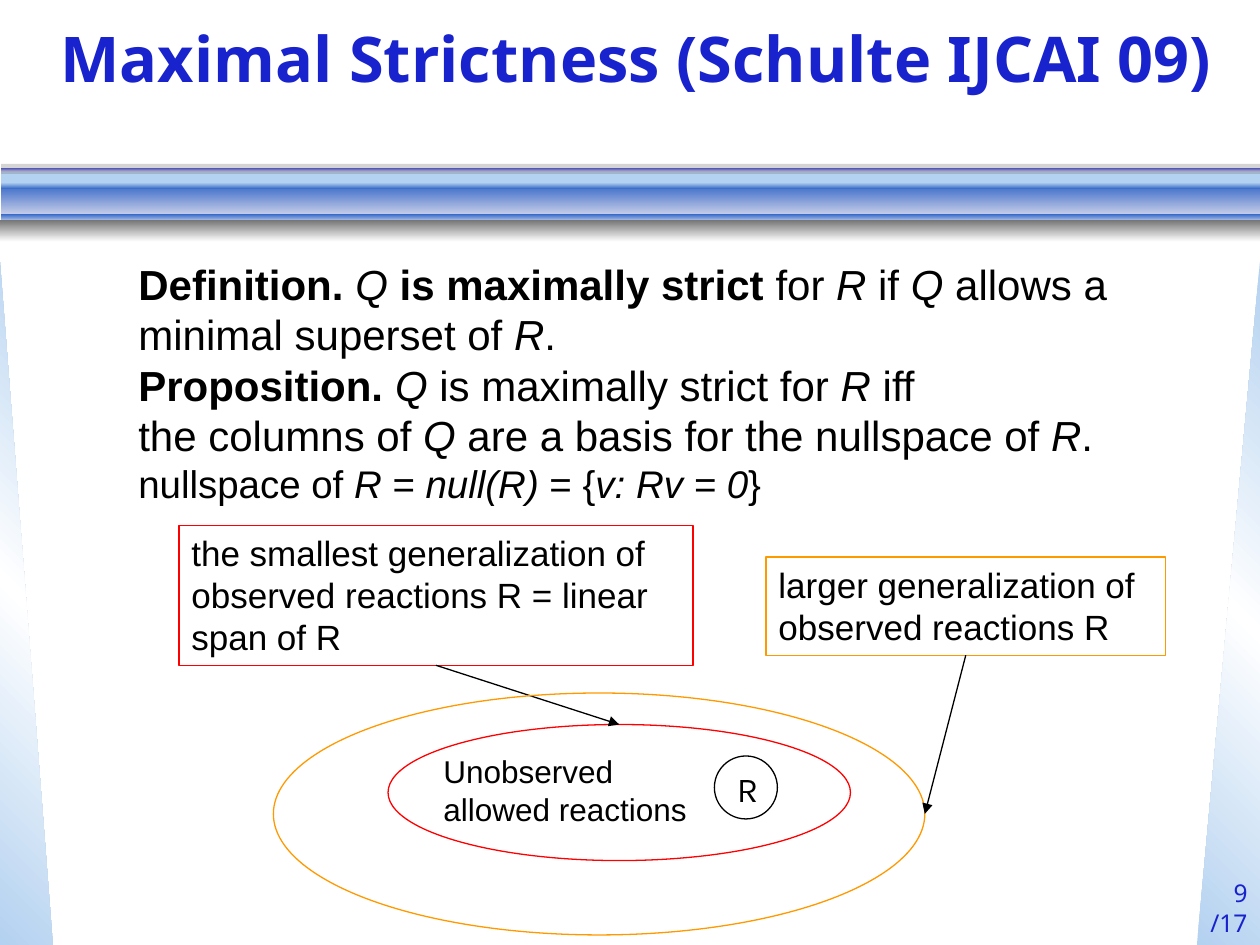
from lxml import etree
from pptx import Presentation
from pptx.dml.color import RGBColor
from pptx.enum.shapes import MSO_CONNECTOR as Conn, MSO_SHAPE as Shape
from pptx.enum.text import MSO_ANCHOR as Anchor, MSO_AUTO_SIZE as Fit, PP_ALIGN as Align
from pptx.oxml import parse_xml
from pptx.oxml.ns import nsdecls, qn
from pptx.util import Inches, Pt

BLUE, SKY, DEEP = "1822CD", "B3D1F0", "3568C7"
BLACK, WHITE, RED, ORANGE, GREY = "000000", "FFFFFF", "FF0000", "FF9900", "777777"


def rgb(code):
    return RGBColor.from_string(code)


def lens(*nums):
    return [Inches(num) for num in nums]


def write(frame, lines, size=20, font="Arial", color=BLACK, bold=False,
          align=Align.LEFT, anchor=Anchor.TOP, fit=Fit.NONE):
    """Fill one paragraph; a line is a list of (text, style) with style b, i, or a size."""
    frame.word_wrap = True
    frame.auto_size = fit
    frame.vertical_anchor = anchor
    para = frame.paragraphs[0]
    para.alignment = align
    para.space_before = Pt(0)
    for row, line in enumerate(lines):
        if row:
            para.add_line_break()
        parts = [(line, "")] if isinstance(line, str) else line
        for text, style, *own in parts:
            run = para.add_run()
            run.text = text
            face = run.font
            face.name, face.size = font, Pt(own[0] if own else size)
            face.bold = bold or style == "b"
            face.italic = style == "i"
            face.color.rgb = rgb(color)


def label(slide, box, lines, **style):
    text = slide.shapes.add_textbox(*lens(*box))
    write(text.text_frame, lines, **style)


def blend(shape, stops, angle):
    """Give the shape a linear gradient of evenly spaced colours."""
    step = 100000 // (len(stops) - 1)
    marks = "".join(f'<a:gs pos="{n * step}"><a:srgbClr val="{code}"/></a:gs>'
                    for n, code in enumerate(stops))
    grad = parse_xml(f'<a:gradFill {nsdecls("a")} rotWithShape="1"><a:gsLst>{marks}</a:gsLst>'
                     f'<a:lin ang="{angle * 60000}" scaled="1"/></a:gradFill>')
    shape.element.spPr.find(qn("a:prstGeom")).addnext(grad)


def draw(slide, kind, box, line=None, fill=None):
    shape = slide.shapes.add_shape(kind, *lens(*box))
    shape.shadow.inherit = False
    if line:
        shape.line.color.rgb = rgb(line)
        shape.line.width = Pt(0.75)
        shape.fill.background()
    else:
        shape.line.fill.background()
    if fill:
        shape.fill.solid()
        shape.fill.fore_color.rgb = rgb(fill)
    return shape


def sides(slide, top, high):
    """Draw the shaded wedges on both edges of the slide."""
    for left, wide, angle, flip in ((0, 0.42, 315, False), (9.5, 0.5, 45, True)):
        wedge = draw(slide, Shape.RIGHT_TRIANGLE, (left, top, wide, high))
        blend(wedge, (SKY, WHITE, SKY), angle)
        if flip:
            wedge.element.spPr.find(qn("a:xfrm")).set("flipH", "1")


def band(slide, left, top, wide):
    """Draw the layered bar below the title."""
    draw(slide, Shape.RECTANGLE, (left, top + 0.06, wide, 0.1), fill=SKY)
    strips = ((0.16, 0.25, DEEP, "CAD0E9"), (0.03, 0.03, BLUE, "BABBE7"),
              (0.4, 0.05, DEEP, "A9BEE7"), (0.15, 0.05, SKY, DEEP))
    for down, high, *stops in strips:
        blend(draw(slide, Shape.RECTANGLE, (left, top + down, wide, high)), stops, 90)
    blend(draw(slide, Shape.RECTANGLE, (0, top + 0.45, 10, 0.17)), (GREY, WHITE), 90)
    haze = draw(slide, Shape.RECTANGLE, (left, top, wide, 0.08), fill=GREY)
    tint = haze.element.spPr.find(".//" + qn("a:srgbClr"))
    etree.SubElement(tint, qn("a:alpha")).set("val", "31000")


def head(slide, box, text):
    title = slide.shapes.title
    title.left, title.top, title.width, title.height = lens(*box)
    write(title.text_frame, [text], size=36, font="Noto Sans", color=BLUE,
          bold=True, align=Align.CENTER, anchor=Anchor.MIDDLE)


def body(slide, box):
    label(slide, box, [
        [("Definition. ", "b"), ("Q ", "i"), ("is maximally strict ", "b"), ("for ", ""),
         ("R", "i"), (" if ", ""), ("Q", "i"), (" allows a minimal superset of ", ""),
         ("R", "i"), (". ", "")],
        [("Proposition. ", "b"), ("Q", "i"), (" is maximally strict for ", ""),
         ("R", "i"), (" iff ", "")],
        [("the columns of ", ""), ("Q", "i"), (" are a basis for the nullspace of ", ""),
         ("R", "i"), (".", "")],
        [("nullspace of ", "", 22), ("R", "i", 22), (" = ", "", 22), ("null(R)", "i", 22),
         (" = {", "", 22), ("v: Rv = 0", "i", 22), ("}", "", 22)],
    ], size=24, fit=Fit.SHAPE_TO_FIT_TEXT)


def note(slide, box, text, color):
    shape = draw(slide, Shape.RECTANGLE, box, line=color)
    write(shape.text_frame, [text], fit=Fit.SHAPE_TO_FIT_TEXT)
    return shape


def arrow(slide, start, tip, end=None):
    """Point from the bottom of a note to a spot, joined to the top of end if given."""
    link = slide.shapes.add_connector(Conn.STRAIGHT, 0, 0, *lens(*tip))
    link.begin_connect(start, 2)
    if end:
        link.end_connect(end, 0)
    link.line.color.rgb = rgb(BLACK)
    link.line.width = Pt(0.75)
    props = link.element.spPr
    etree.SubElement(props.find(qn("a:ln")), qn("a:tailEnd")).set("type", "triangle")
    etree.SubElement(props, qn("a:effectLst"))


def sets(slide, left, top):
    """Draw the nested sets with their two notes."""
    def at(right, down, *size):
        return (left + right, top + down, *size)

    grow = Fit.SHAPE_TO_FIT_TEXT
    label(slide, at(4.33, 1.87, 0.42, 0.43), ["R"], font="Karla", fit=grow)
    draw(slide, Shape.OVAL, at(4.25, 1.83, 0.5, 0.5), line=BLACK)
    inner = draw(slide, Shape.OVAL, at(1.66, 1.58, 3.67, 1.08), line=RED)
    small = note(slide, at(0, 0, 4.08, 1.11),
                 "the smallest generalization of observed reactions R = linear span of R", RED)
    arrow(slide, small, at(3.5, 1.58), inner)
    draw(slide, Shape.OVAL, at(0.75, 1.33, 5.17, 1.92), line=ORANGE)
    large = note(slide, at(4.66, 0.25, 3.17, 0.78),
                 "larger generalization of observed reactions R", ORANGE)
    arrow(slide, large, at(5.92, 2.29))
    label(slide, at(2, 1.75, 2.25, 0.7), ["Unobserved allowed reactions"], size=18, fit=grow)


def main():
    deck = Presentation()
    deck.slide_width, deck.slide_height = lens(10, 7.5)
    slide = deck.slides.add_slide(deck.slide_layouts[5])
    sides(slide, 2.08, 5.42)
    band(slide, 0.01, 1.3, 9.99)
    label(slide, (9.25, 6.92, 0.75, 0.58), ["9", "/17"], size=14, font="Noto Sans",
          color=BLUE, align=Align.RIGHT)
    head(slide, (0.17, 0.08, 9.75, 0.75), "Maximal Strictness (Schulte IJCAI 09)")
    body(slide, (1, 2, 8.33, 2.09))
    sets(slide, 1.42, 4.17)
    deck.save("out.pptx")


if __name__ == "__main__":
    main()
